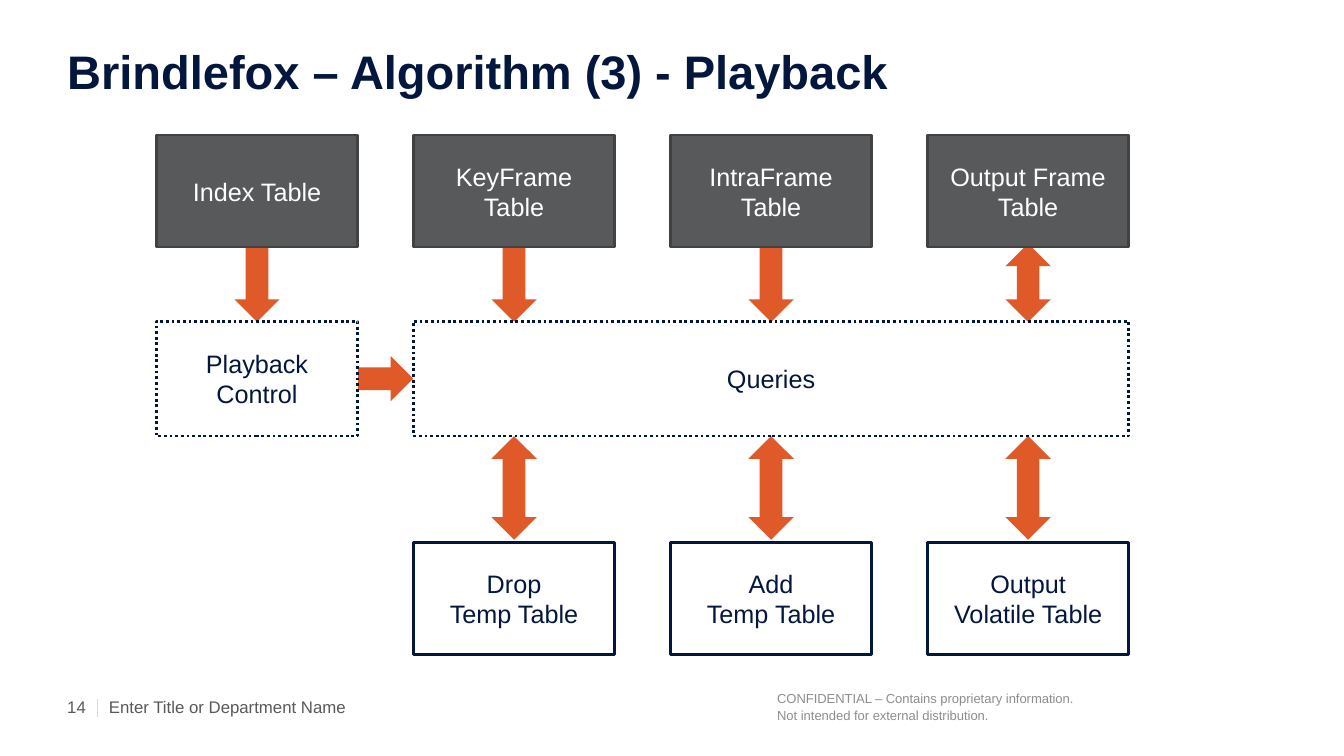
from lxml import etree
from pptx import Presentation
from pptx import util as u
from pptx.dml.color import RGBColor
from pptx.enum import dml, shapes, text
from pptx.oxml.ns import qn

# Content
TITLE = "Brindlefox – Algorithm (3) - Playback"
SOURCE_TABLES = ["Index Table", "KeyFrame\nTable", "IntraFrame\nTable", "Output Frame Table"]
RESULT_TABLES = ["Drop\nTemp Table", "Add\nTemp Table", "Output\nVolatile Table"]
CONTROL, QUERIES = "Playback Control", "Queries"
PAGE_NUMBER, DEPARTMENT = "14", "Enter Title or Department Name"
NOTICE = ("CONFIDENTIAL – Contains proprietary information.\n"
          "Not intended for external distribution.")

# Colours and font
NAVY = RGBColor(0x03, 0x17, 0x3E)
ORANGE = RGBColor(0xE0, 0x59, 0x29)
GRAY = RGBColor(0x58, 0x59, 0x5B)
DARK_GRAY = RGBColor(0x41, 0x42, 0x43)
NOTICE_GRAY = RGBColor(0x8C, 0x8D, 0x8D)
RULE_GRAY = RGBColor(0xD9, 0xD9, 0xD6)
WHITE = RGBColor(0xFF, 0xFF, 0xFF)
FONT = "Arial"

# Grid, in points
BOX_WIDTH, BOX_HEIGHT, PITCH = 144, 80, 183.6
COLUMNS = [111.6 + i * PITCH for i in range(4)]
SOURCE_TOP, MIDDLE_TOP, RESULT_TOP = 96.5, 229.5, 387.4
MIDDLE_HEIGHT = 82
ARROW_WIDTH = 32.4

presentation = Presentation()
presentation.slide_width, presentation.slide_height = u.Pt(960), u.Pt(540)
slide = presentation.slides.add_slide(presentation.slide_layouts[5])


def write(shape, words, size=18, color=NAVY, bold=False, align=text.PP_ALIGN.LEFT,
          anchor=text.MSO_ANCHOR.MIDDLE, margins=(0, 0, 0, 0), spacing=1.0, wrap=True):
    frame = shape.text_frame
    frame.word_wrap = wrap
    frame.auto_size = text.MSO_AUTO_SIZE.NONE
    frame.vertical_anchor = anchor
    (frame.margin_left, frame.margin_top,
     frame.margin_right, frame.margin_bottom) = map(u.Pt, margins)
    frame.text = words
    for paragraph in frame.paragraphs:
        paragraph.alignment = align
        paragraph.line_spacing = spacing
        font = paragraph.runs[0].font
        font.name, font.size, font.bold = FONT, u.Pt(size), bold
        font.color.rgb = color


def add_label(words, left, top, width, height, **style):
    box = slide.shapes.add_textbox(*map(u.Pt, (left, top, width, height)))
    write(box, words, **style)


def add_filled(kind, left, top, width, height, fill):
    shape = slide.shapes.add_shape(kind, *map(u.Pt, (left, top, width, height)))
    shape.shadow.inherit = False
    shape.fill.solid()
    shape.fill.fore_color.rgb = fill
    shape.line.fill.background()
    return shape


def add_box(words, left, top, width=BOX_WIDTH, height=BOX_HEIGHT,
            fill=WHITE, line=NAVY, color=NAVY, dotted=False):
    box = add_filled(shapes.MSO_SHAPE.RECTANGLE, left, top, width, height, fill)
    box.line.color.rgb = line
    box.line.width = u.Pt(2)
    if dotted:
        box.line.dash_style = dml.MSO_LINE.ROUND_DOT
    write(box, words, color=color, align=text.PP_ALIGN.CENTER, margins=(7.2, 3.6, 7.2, 3.6))


def add_vertical_arrow(kind, column, top, bottom):
    left = column + (BOX_WIDTH - ARROW_WIDTH) / 2
    add_filled(kind, left, top, ARROW_WIDTH, bottom - top, ORANGE)


# Title
title = slide.shapes.title
title.left, title.top, title.width, title.height = map(u.Pt, (48, 26, 864, 44.6))
write(title, TITLE, size=33.6, bold=True, anchor=text.MSO_ANCHOR.BOTTOM)

# Arrows, behind the boxes
DOWN, BOTH = shapes.MSO_SHAPE.DOWN_ARROW, shapes.MSO_SHAPE.UP_DOWN_ARROW
for column, kind in zip(COLUMNS, [DOWN, DOWN, DOWN, BOTH]):
    add_vertical_arrow(kind, column, 174, 230)
for column in COLUMNS[1:]:
    add_vertical_arrow(BOTH, column, MIDDLE_TOP + MIDDLE_HEIGHT, 385.5)
control_right = COLUMNS[0] + BOX_WIDTH
add_filled(shapes.MSO_SHAPE.RIGHT_ARROW, control_right,
           MIDDLE_TOP + (MIDDLE_HEIGHT - ARROW_WIDTH) / 2,
           COLUMNS[1] - control_right, ARROW_WIDTH, ORANGE)

# Boxes
for words, column in zip(SOURCE_TABLES, COLUMNS):
    add_box(words, column, SOURCE_TOP, fill=GRAY, line=DARK_GRAY, color=WHITE)
add_box(CONTROL, COLUMNS[0], MIDDLE_TOP, height=MIDDLE_HEIGHT, dotted=True)
add_box(QUERIES, COLUMNS[1], MIDDLE_TOP, width=2 * PITCH + BOX_WIDTH,
        height=MIDDLE_HEIGHT, dotted=True)
for words, column in zip(RESULT_TABLES, COLUMNS[1:]):
    add_box(words, column, RESULT_TOP)

# Footer
add_label(PAGE_NUMBER, 48, 495.4, 26, 19.4, size=12, color=GRAY,
          margins=(0, 3.6, 0, 3.6), wrap=False)
add_label(DEPARTMENT, 77.8, 495.4, 355.7, 19.4, size=12, color=GRAY,
          margins=(0, 3.6, 7.2, 3.6), wrap=False)
add_label(NOTICE, 555.1, 491.8, 246.2, 26, size=9.3, color=NOTICE_GRAY,
          anchor=text.MSO_ANCHOR.TOP, spacing=1.1)
rule = slide.shapes.add_connector(shapes.MSO_CONNECTOR.STRAIGHT,
                                  *map(u.Pt, (69.8, 499, 69.8, 512)))
rule.line.color.rgb = RULE_GRAY
rule.line.width = u.Pt(0.75)
etree.SubElement(rule._element.spPr, qn("a:effectLst"))

presentation.save("out.pptx")
